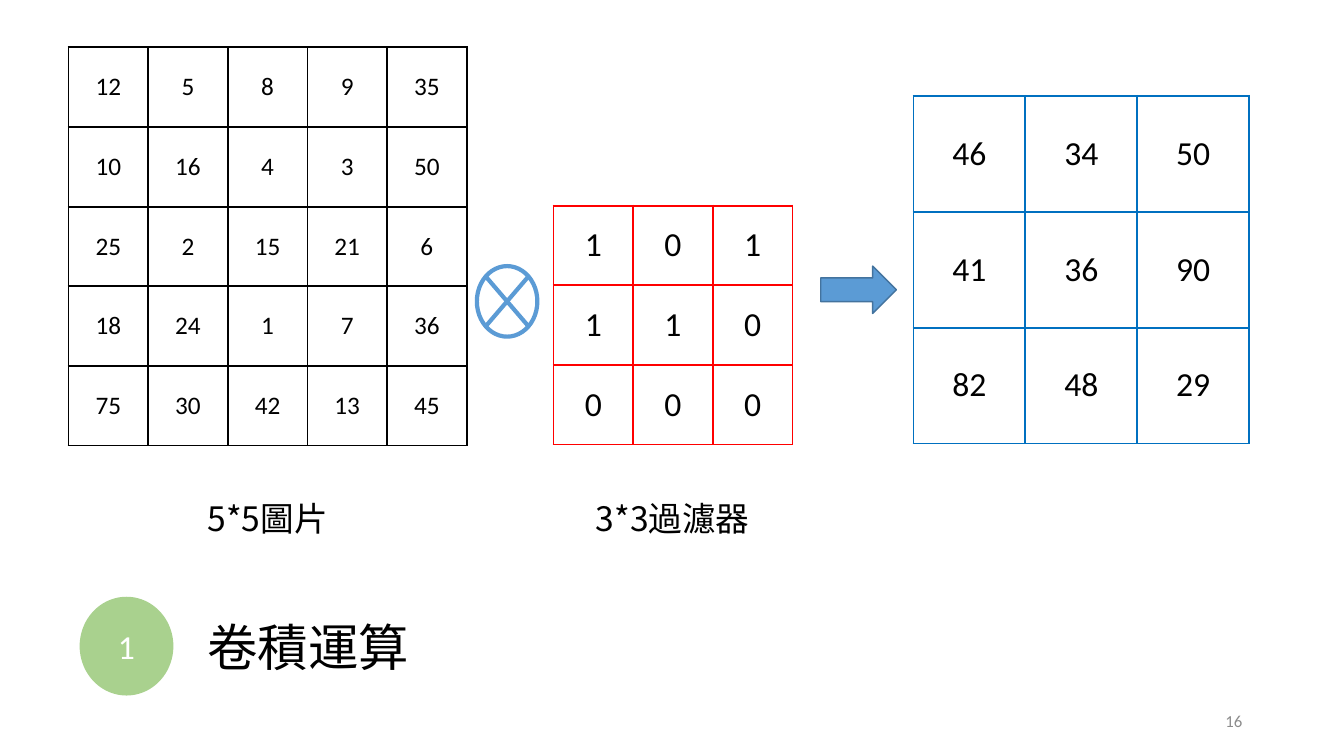
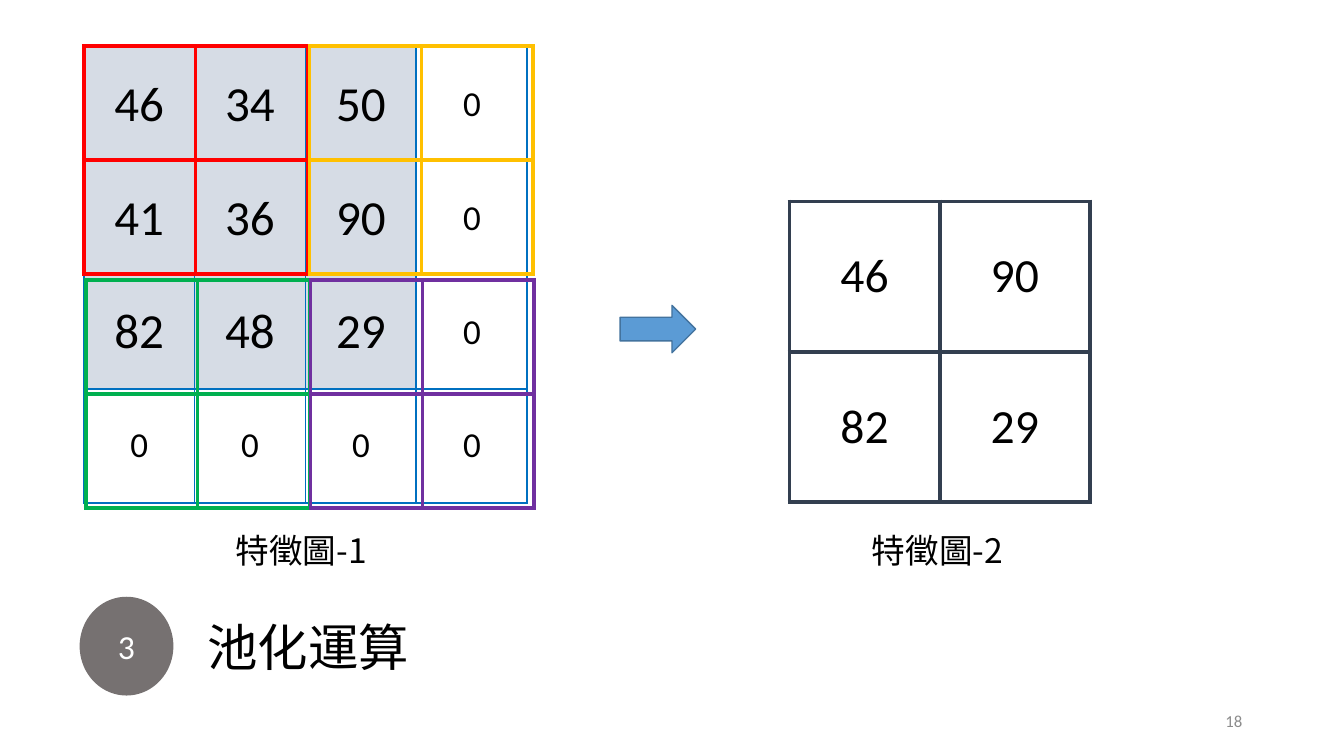
from lxml import etree
from pptx import Presentation
from pptx.dml.color import RGBColor
from pptx.enum.shapes import MSO_SHAPE as Shape
from pptx.enum.text import MSO_ANCHOR as Anchor, PP_ALIGN as Align
from pptx.oxml.ns import qn
from pptx.util import Emu, Pt

PX = 9144  # EMU per px, 100 px to the inch

BLACK = RGBColor(0x00, 0x00, 0x00)
WHITE = RGBColor(0xFF, 0xFF, 0xFF)
RED = RGBColor(0xFF, 0x00, 0x00)
AMBER = RGBColor(0xFF, 0xC0, 0x00)
GREEN = RGBColor(0x00, 0xB0, 0x50)
PURPLE = RGBColor(0x70, 0x30, 0xA0)
MAP_BLUE = RGBColor(0x00, 0x70, 0xC0)
SYMBOL_BLUE = RGBColor(0x5B, 0x9B, 0xD5)
ARROW_EDGE = RGBColor(0x43, 0x73, 0x9E)
NAVY = RGBColor(0x33, 0x3F, 0x50)
SHADE = RGBColor(0xD6, 0xDC, 0xE5)
LIGHT_GREEN = RGBColor(0xA9, 0xD1, 0x8E)
DARK_GRAY = RGBColor(0x76, 0x71, 0x71)
NUMBER_GRAY = RGBColor(0x8C, 0x8C, 0x8C)

LATIN = "Calibri"
CJK = "Noto Sans CJK SC"

IMAGE = [
    [12, 5, 8, 9, 35],
    [10, 16, 4, 3, 50],
    [25, 2, 15, 21, 6],
    [18, 24, 1, 7, 36],
    [75, 30, 42, 13, 45],
]
FILTER = [[1, 0, 1], [1, 1, 0], [0, 0, 0]]
FEATURES = [[46, 34, 50], [41, 36, 90], [82, 48, 29]]
PADDED = [row + [0] for row in FEATURES] + [[0] * 4]
POOLED = [[46, 90], [82, 29]]
WINDOW = [["", ""], ["", ""]]


def px(*lengths):
    return [Emu(length * PX) for length in lengths]


def write_text(frame, text, size, font=LATIN, color=BLACK, align=Align.CENTER,
               anchor=Anchor.MIDDLE, spacing=None):
    frame.word_wrap = True
    frame.vertical_anchor = anchor
    paragraph = frame.paragraphs[0]
    paragraph.alignment = align
    if spacing:
        paragraph.line_spacing = Pt(spacing)
    run = paragraph.add_run()
    run.text = text
    run.font.size = Pt(size)
    run.font.color.rgb = color
    run.font.name = font
    east_asian = etree.SubElement(run.font._element, qn("a:ea"))
    east_asian.set("typeface", font)


def add_label(slide, box, text, size, **text_format):
    label = slide.shapes.add_textbox(*px(*box))
    write_text(label.text_frame, text, size, **text_format)


def add_caption(slide, left, top, width, text):
    add_label(slide, (left, top, width, 50), text, 24, font=CJK,
              align=Align.LEFT, anchor=Anchor.TOP, spacing=29)


def add_symbol(slide, kind, box, fill, line=None, line_width=1):
    symbol = slide.shapes.add_shape(kind, *px(*box))
    symbol.shadow.inherit = False
    symbol.fill.solid()
    symbol.fill.fore_color.rgb = fill
    if line is None:
        symbol.line.fill.background()
    else:
        symbol.line.color.rgb = line
        symbol.line.width = Pt(line_width)
    return symbol


def add_arrow(slide, left, top):
    add_symbol(slide, Shape.RIGHT_ARROW, (left, top, 75, 47), SYMBOL_BLUE, ARROW_EDGE)


def set_borders(cell, color, width):
    properties = cell._tc.get_or_add_tcPr()
    for side in ("a:lnL", "a:lnR", "a:lnT", "a:lnB"):
        border = etree.SubElement(properties, qn(side), w=str(Pt(width)))
        fill = etree.SubElement(border, qn("a:solidFill"))
        etree.SubElement(fill, qn("a:srgbClr"), val=str(color))


def add_matrix(slide, left, top, cell_width, cell_height, values, color,
               size=24, border=1.5, shaded=0, padding_size=25):
    """Draw a grid; its first `shaded` rows and columns are tinted, the rest is padding."""
    rows, columns = len(values), len(values[0])
    box = px(left, top, columns * cell_width, rows * cell_height)
    matrix = slide.shapes.add_table(rows, columns, *box).table
    matrix.first_row = matrix.horz_banding = False
    for r, row in enumerate(values):
        for c, value in enumerate(row):
            cell = matrix.cell(r, c)
            set_borders(cell, color, border)
            tinted = r < shaded and c < shaded
            if tinted:
                cell.fill.solid()
                cell.fill.fore_color.rgb = SHADE
            else:
                cell.fill.background()
            cell.vertical_anchor = Anchor.MIDDLE
            if value != "":
                padded = shaded and not tinted
                write_text(cell.text_frame, str(value), padding_size if padded else size)


def add_step_slide(deck, step, badge_color, title, number):
    """Add a slide with the numbered badge, title and page number that all share."""
    slide = deck.slides.add_slide(deck.slide_layouts[6])
    badge = add_symbol(slide, Shape.OVAL, (79, 592, 93, 98), badge_color)
    write_text(badge.text_frame, step, 24, color=WHITE)
    add_label(slide, (196, 606, 222, 71), title, 36, font=CJK, align=Align.LEFT)
    add_label(slide, (942, 695, 300, 40), number, 12, color=NUMBER_GRAY, align=Align.RIGHT)
    return slide


def build_convolution(deck):
    slide = add_step_slide(deck, "1", LIGHT_GREEN, "卷積運算", "16")
    add_matrix(slide, 68, 47, 79, 79, IMAGE, BLACK, size=18)
    add_matrix(slide, 549, 204, 79, 79, FILTER, RED)
    add_matrix(slide, 906, 95, 111, 115, FEATURES, MAP_BLUE)
    add_caption(slide, 196, 489, 142, "5*5圖片")
    add_caption(slide, 581, 489, 175, "3*3過濾器")
    add_arrow(slide, 814, 264)
    add_symbol(slide, Shape.FLOWCHART_SUMMING_JUNCTION, (473, 264, 60, 70),
               WHITE, SYMBOL_BLUE, 3)


def build_pooling(deck):
    slide = add_step_slide(deck, "3", DARK_GRAY, "池化運算", "18")
    add_matrix(slide, 83, 47, 110, 113, PADDED, MAP_BLUE, size=35, shaded=3)
    windows = [(83, 46, RED), (307, 46, AMBER), (85, 278, GREEN), (308, 278, PURPLE)]
    for left, top, color in windows:
        add_matrix(slide, left, top, 111, 113, WINDOW, color, border=3)
    add_matrix(slide, 783, 200, 149, 149, POOLED, NAVY, size=34, border=3)
    add_caption(slide, 224, 521, 155, "特徵圖-1")
    add_caption(slide, 855, 521, 155, "特徵圖-2")
    add_arrow(slide, 615, 303)


def main():
    deck = Presentation()
    deck.slide_width, deck.slide_height = px(1333, 750)
    build_convolution(deck)
    build_pooling(deck)
    deck.save("out.pptx")


if __name__ == "__main__":
    main()
